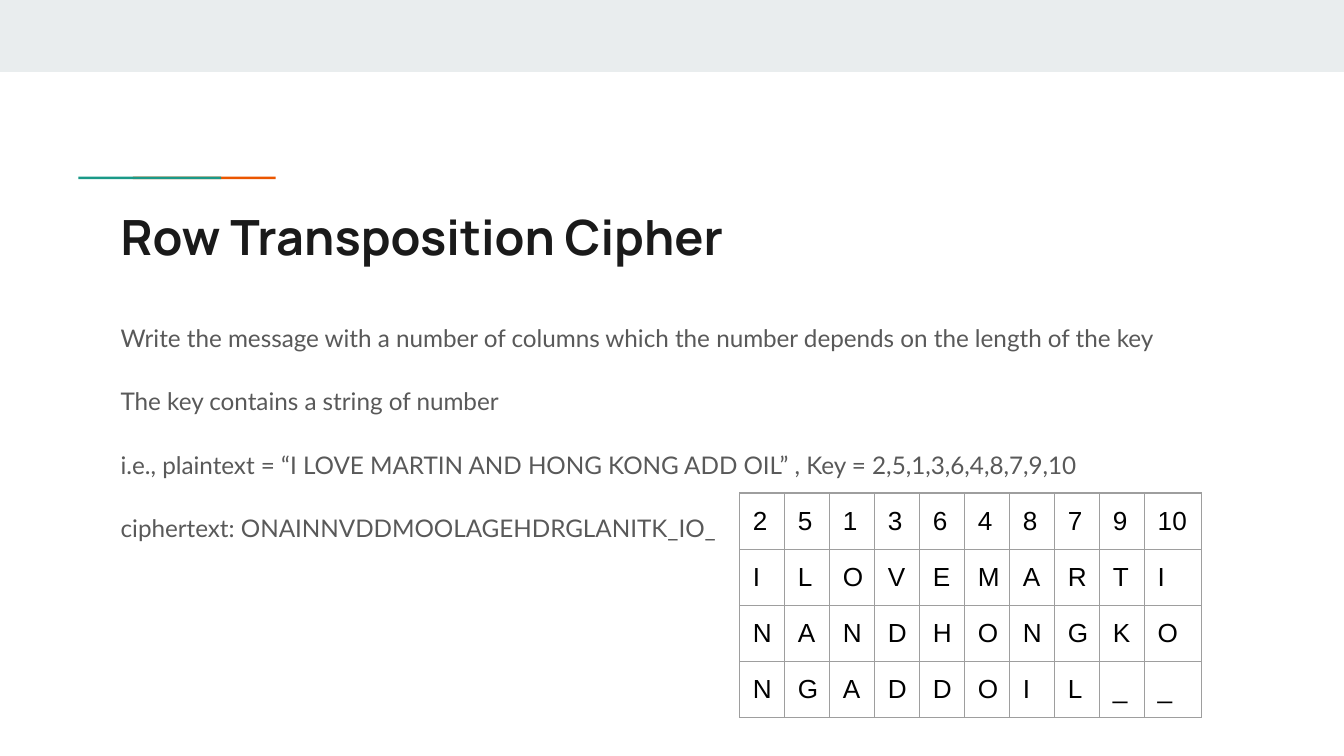
from lxml import etree
from pptx import Presentation
from pptx import util as u
from pptx.dml.color import RGBColor
from pptx.enum import shapes, text
from pptx.oxml import ns

COLORS = {
    "band": "E9EDEE", "teal": "1A9988", "orange": "EB5600", "title": "1A1A1A",
    "body": "595959", "cell": "000000", "border": "9E9E9E",
}
FONTS = {
    "title": {"name": "Manrope", "size": u.Pt(26), "bold": True},
    "body": {"name": "Lato", "size": u.Pt(13), "bold": False},
    "cell": {"name": "Arial", "size": u.Pt(14), "bold": False},
}
INSET = u.Cm(0.25)
MARGINS = {f"margin_{side}": INSET for side in ("left", "top", "right", "bottom")}
FRAME = {
    **MARGINS,
    "word_wrap": True,
    "auto_size": text.MSO_AUTO_SIZE.NONE,
    "vertical_anchor": text.MSO_ANCHOR.TOP,
}

MESSAGE = [
    "Write the message with a number of columns which the number depends on the length of the key",
    "The key contains a string of number",
    "i.e., plaintext = “I LOVE MARTIN AND HONG KONG ADD OIL” , Key = 2,5,1,3,6,4,8,7,9,10",
    "ciphertext: ONAINNVDDMOOLAGEHDRGLANITK_IO_",
]
KEY = [2, 5, 1, 3, 6, 4, 8, 7, 9, 10]
PLAINTEXT_ROWS = ["ILOVEMARTI", "NANDHONGKO", "NGADDOIL__"]


def apply(target, values):
    for name, value in values.items():
        setattr(target, name, value)


class SlideBuilder:
    def __init__(self, presentation):
        layout = presentation.slide_layouts.get_by_name("Title and Content")
        self.slide = presentation.slides.add_slide(layout)

    def style_font(self, font, role):
        apply(font, FONTS[role])
        font.color.rgb = RGBColor.from_string(COLORS[role])

    def bar(self, left, top, width, height, color):
        shape = self.slide.shapes.add_shape(
            shapes.MSO_SHAPE.RECTANGLE, *map(u.Cm, (left, top, width, height)))
        shape.shadow.inherit = False
        shape.fill.solid()
        shape.fill.fore_color.rgb = RGBColor.from_string(COLORS[color])
        shape.line.fill.background()

    def placeholder(self, index, role, box, lines, line_spacing=1.0, gap=0):
        """Move a template placeholder and fill it with unbulleted lines."""
        shape = self.slide.placeholders[index]
        apply(shape, dict(zip(("left", "top", "width", "height"), map(u.Cm, box))))
        frame = shape.text_frame
        frame.text = "\n".join(lines)
        apply(frame, FRAME)
        for number, paragraph in enumerate(frame.paragraphs):
            apply(paragraph, {
                "alignment": text.PP_ALIGN.LEFT,
                "line_spacing": line_spacing,
                "space_before": u.Pt(gap if number else 0),
            })
            properties = paragraph._p.get_or_add_pPr()
            properties.set("marL", "0")
            properties.set("indent", "0")
            etree.SubElement(properties, ns.qn("a:buNone"))
            self.style_font(paragraph.runs[0].font, role)

    def cell_borders(self, cell):
        properties = cell._tc.get_or_add_tcPr()
        for side in "LRTB":
            line = etree.SubElement(properties, ns.qn(f"a:ln{side}"), w=str(u.Pt(0.75)))
            fill = etree.SubElement(line, ns.qn("a:solidFill"))
            etree.SubElement(fill, ns.qn("a:srgbClr"), val=COLORS["border"])

    def table(self, left, top, column_widths, row_height, rows):
        table = self.slide.shapes.add_table(
            len(rows), len(column_widths), u.Cm(left), u.Cm(top),
            u.Cm(sum(column_widths)), u.Cm(row_height * len(rows))).table
        apply(table, {"first_row": False, "horz_banding": False})
        for column, width in zip(table.columns, column_widths):
            column.width = u.Cm(width)
        for row, values in zip(table.rows, rows):
            row.height = u.Cm(row_height)
            for cell, value in zip(row.cells, values):
                cell.text = str(value)
                apply(cell, MARGINS)
                self.cell_borders(cell)
                cell.fill.background()
                self.style_font(cell.text_frame.paragraphs[0].runs[0].font, "cell")


def main():
    presentation = Presentation()
    apply(presentation, {"slide_width": u.Cm(25.4), "slide_height": u.Cm(14.29)})

    builder = SlideBuilder(presentation)
    builder.bar(0, 0, 25.4, 1.36, "band")
    # The teal bar overlaps the left part of the orange one.
    for left, color in ((2.51, "orange"), (1.48, "teal")):
        builder.bar(left, 3.34, 2.7, 0.05, color)
    builder.placeholder(0, "title", (2.03, 3.66, 21.36, 1.5), ["Row Transposition Cipher"])
    builder.placeholder(1, "body", (2.03, 5.78, 21.36, 8.1), MESSAGE,
                        line_spacing=1.15, gap=16)
    builder.table(13.98, 9.32, [0.85] * 9 + [1.07], 1.06, [KEY, *PLAINTEXT_ROWS])

    presentation.save("out.pptx")


if __name__ == "__main__":
    main()
